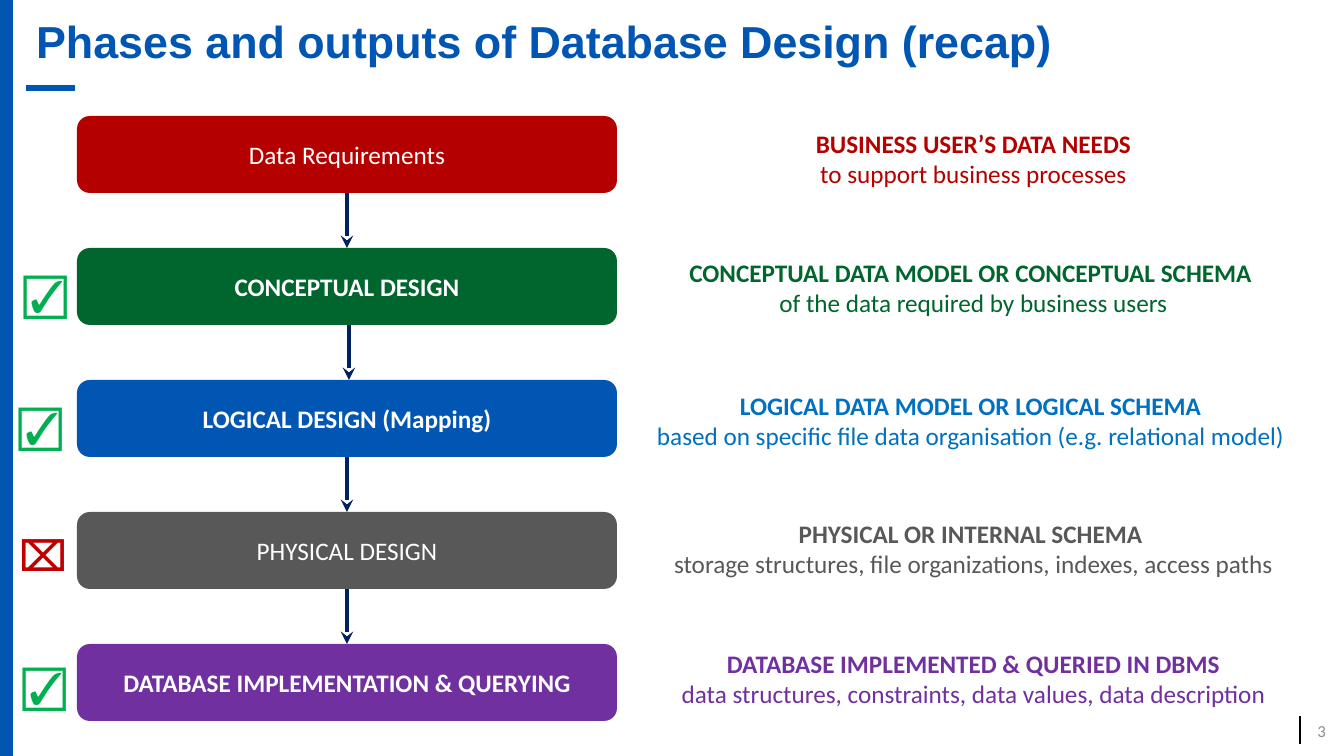
from collections import namedtuple

from pptx import Presentation
from pptx.dml.color import RGBColor
from pptx.enum.shapes import MSO_CONNECTOR as Connector, MSO_SHAPE as Shape
from pptx.enum.text import MSO_ANCHOR as Anchor, MSO_AUTO_SIZE as AutoSize, PP_ALIGN as Align
from pptx.oxml.ns import qn
from pptx.util import Pt
from lxml.etree import SubElement

SCALE = 914400 / 100.8
COLORS = {
    "blue": "0056B2", "sky": "0070C0", "red": "B50000", "green": "00662E",
    "gray": "585858", "purple": "7030A0", "navy": "002060", "tick": "00B050",
    "cross": "C00000", "number": "8C8C8C", "white": "FFFFFF", "black": "000000",
}

Phase = namedtuple("Phase", "name bold fill ink heading detail note_top")
Mark = namedtuple("Mark", "sign left top width size color")

PHASES = [
    Phase("Data Requirements", False, "red", "red",
          "BUSINESS USER’S DATA NEEDS", "to support business processes", 123),
    Phase("CONCEPTUAL DESIGN", True, "green", "green",
          "CONCEPTUAL DATA MODEL OR CONCEPTUAL SCHEMA ",
          "of the data required by business users", 252),
    Phase("LOGICAL DESIGN (Mapping)", True, "blue", "sky",
          "LOGICAL DATA MODEL OR LOGICAL SCHEMA ",
          "based on specific file data organisation (e.g. relational model) ", 385),
    Phase("PHYSICAL DESIGN", False, "gray", "gray",
          "PHYSICAL OR INTERNAL SCHEMA ",
          "storage structures, file organizations, indexes, access paths", 513),
    Phase("DATABASE IMPLEMENTATION & QUERYING", True, "purple", "purple",
          "DATABASE IMPLEMENTED & QUERIED IN DBMS",
          "data structures, constraints, data values, data description", 643),
]
MARKS = [
    Mark("☑", 13, 261, 57, 32, "tick"),
    Mark("☑", 8, 393, 57, 32, "tick"),
    Mark("⌧", 9, 525, 47, 30, "cross"),
    Mark("☑", 12, 653, 57, 32, "tick"),
]
ARROW_CENTERS = [347, 349, 347, 347]
STEP = 132


def px(*lengths):
    return [round(length * SCALE) for length in lengths]


def color(name):
    return RGBColor.from_string(COLORS[name])


def write(shape, lines, size, ink, bold=(False,), font="Calibri",
          align=Align.CENTER, anchor=Anchor.TOP):
    frame = shape.text_frame
    frame.text = "\n".join(lines)
    frame.word_wrap = True
    frame.auto_size = AutoSize.NONE
    frame.vertical_anchor = anchor
    for para, strong in zip(frame.paragraphs, bold):
        para.alignment = align
        for span in para.runs:
            span.font.size = Pt(size)
            span.font.name = font
            span.font.bold = strong
            span.font.color.rgb = color(ink)


def add_block(page, kind, box, fill):
    block = page.shapes.add_shape(kind, *px(*box))
    block.shadow.inherit = False
    block.fill.solid()
    block.fill.fore_color.rgb = color(fill)
    block.line.fill.background()
    return block


def add_line(page, ends, ink, width, arrow=False):
    line = page.shapes.add_connector(Connector.STRAIGHT, *px(*ends))
    line.line.color.rgb = color(ink)
    line.line.width = Pt(width)
    if arrow:
        SubElement(line.line._get_or_add_ln(), qn("a:tailEnd"), type="stealth")
    SubElement(line._element.spPr, qn("a:effectLst"))


def add_frame(page, box):
    left, top, width, height = box
    add_block(page, Shape.RECTANGLE, (left, top, 13, height), "blue")
    add_line(page, (left + 1300, top + 716, left + 1300, top + 744), "black", 1.5)
    add_line(page, (left + 75, top + 88, left + 26, top + 88), "blue", 4)
    number = page.shapes.add_textbox(*px(left + 1294, top + 711, 42, 40))
    write(number, ["3"], 12, "number", align=Align.RIGHT, anchor=Anchor.MIDDLE)


def add_title(page, box):
    title = page.shapes.title
    title.left, title.top, title.width, title.height = px(*box)
    write(title, ["Phases and outputs of Database Design (recap)"], 32, "blue",
          [True], "Arial", Align.LEFT, Anchor.MIDDLE)
    title.text_frame.paragraphs[0].line_spacing = 0.9


def add_phases(page, box):
    left, top, width, height = box
    for index, phase in enumerate(PHASES):
        block = add_block(page, Shape.ROUNDED_RECTANGLE,
                          (left, top + index * STEP, width, height), phase.fill)
        write(block, [phase.name], 18, "white", [phase.bold], anchor=Anchor.MIDDLE)
    for index, center in enumerate(ARROW_CENTERS):
        start = top + index * STEP + height
        add_line(page, (center, start, center, start + STEP - height), "navy", 3, True)


def add_marks(page):
    for mark in MARKS:
        sign = page.shapes.add_textbox(*px(mark.left, mark.top, mark.width, 64))
        write(sign, [mark.sign], mark.size, mark.color, [True], "Arial", Align.LEFT)


def add_notes_column(page, left, width):
    for phase in PHASES:
        note = page.shapes.add_textbox(*px(left, phase.note_top, width, 71))
        write(note, [phase.heading, phase.detail], 18, phase.ink, [True, False])


deck = Presentation()
deck.slide_width, deck.slide_height = px(1344, 756)
page = deck.slides.add_slide(deck.slide_layouts[5])
add_frame(page, (0, 0, 1344, 756))
add_title(page, (26, 0, 1304, 88))
add_phases(page, (77, 116, 540, 77))
add_marks(page)
add_notes_column(page, 617, 713)
deck.save("out.pptx")
